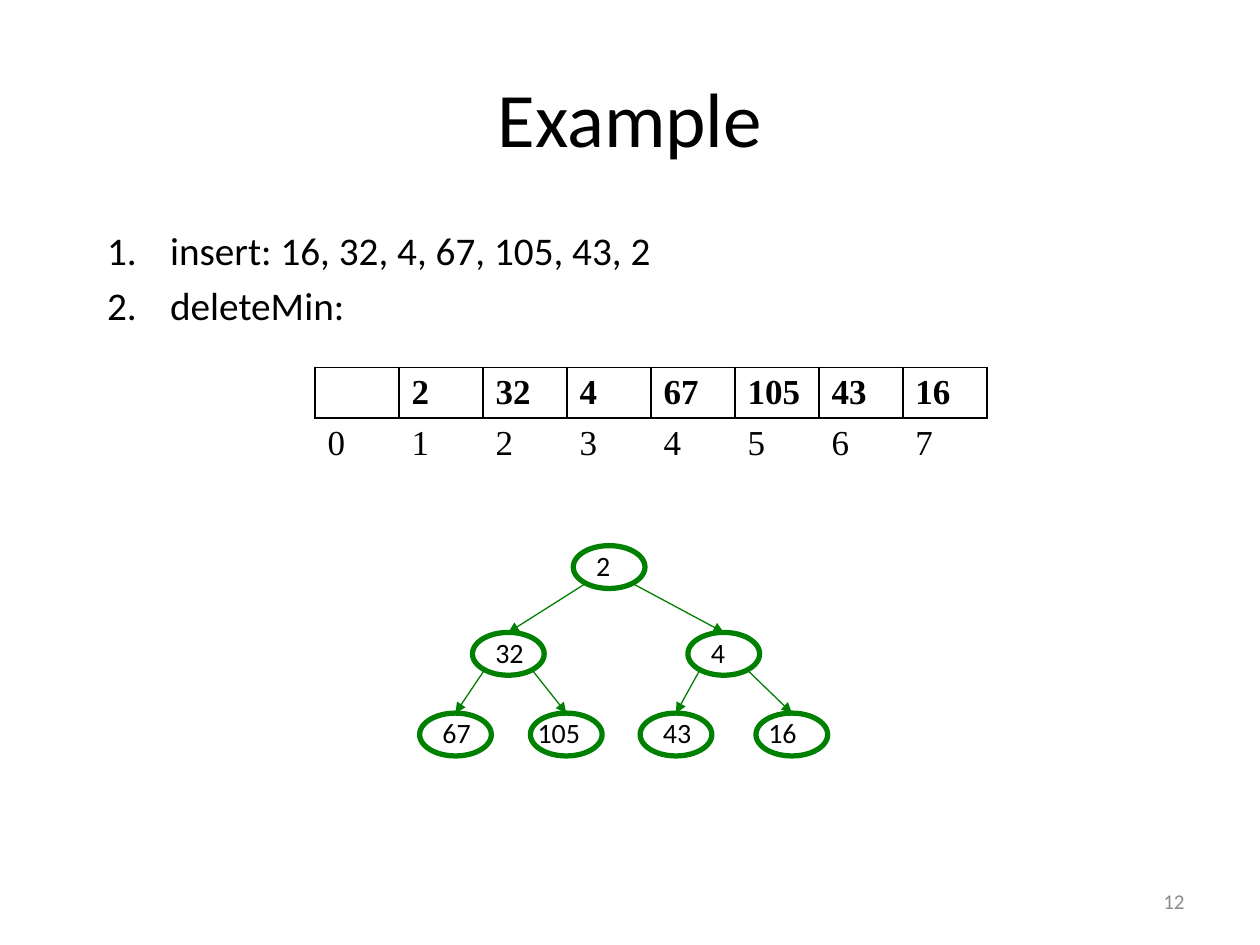
import dataclasses

import lxml.etree
import pptx
import pptx.dml.color
import pptx.enum.shapes
import pptx.enum.text
import pptx.oxml.ns
import pptx.util

Pt = pptx.util.Pt
qn = pptx.oxml.ns.qn
Color = pptx.dml.color.RGBColor
Align = pptx.enum.text.PP_ALIGN
Anchor = pptx.enum.text.MSO_ANCHOR


@dataclasses.dataclass
class Theme:
    ink: str = "000000"
    green: str = "008000"
    gray: str = "8C8C8C"
    font: str = "Calibri"
    table_font: str = "Times New Roman"
    title_size: float = 44
    list_size: float = 22.4
    table_size: float = 20
    node_size: float = 16
    number_size: float = 12
    node_line: float = 3
    arrow_line: float = 0.75
    border: float = 1


theme = Theme()


def write(paragraph, text, *, size, font=theme.font, color=theme.ink, bold=False, align=Align.LEFT):
    paragraph.alignment = align
    run = paragraph.add_run()
    run.text = text
    run.font.size = Pt(size)
    run.font.name = font
    run.font.bold = bold
    run.font.color.rgb = Color.from_string(color)


presentation = pptx.Presentation()
presentation.slide_width = Pt(720)
presentation.slide_height = Pt(540)
slide = presentation.slides.add_slide(presentation.slide_layouts[1])
shapes = slide.shapes

title = shapes.title
title.left, title.top, title.width, title.height = Pt(36), Pt(21.6), Pt(648), Pt(90)
title.text_frame.vertical_anchor = Anchor.MIDDLE
write(title.text_frame.paragraphs[0], "Example", size=theme.title_size, align=Align.CENTER)

steps = slide.placeholders[1]
steps.left, steps.top, steps.width, steps.height = Pt(54), Pt(126), Pt(612), Pt(60)
steps.text_frame.auto_size = pptx.enum.text.MSO_AUTO_SIZE.NONE
for index, text in enumerate(["insert: 16, 32, 4, 67, 105, 43, 2", "deleteMin:"]):
    paragraph = steps.text_frame.paragraphs[0] if index == 0 else steps.text_frame.add_paragraph()
    write(paragraph, text, size=theme.list_size)
    properties = paragraph._p.get_or_add_pPr()
    properties.set("marL", str(Pt(36)))
    properties.set("indent", str(-Pt(36)))
    lxml.etree.SubElement(properties, qn("a:buFont"), typeface="+mj-lt")
    lxml.etree.SubElement(properties, qn("a:buAutoNum"), type="arabicPeriod")

heap = ["", "2", "32", "4", "67", "105", "43", "16"]
rows = [heap, [str(index) for index in range(len(heap))]]
table = shapes.add_table(2, len(heap), Pt(180), Pt(210), Pt(384), Pt(58)).table
table.first_row = False
table.horz_banding = False
for row_index, values in enumerate(rows):
    table.rows[row_index].height = Pt(29)
    for column_index, value in enumerate(values):
        cell = table.cell(row_index, column_index)
        cell.margin_top = cell.margin_bottom = Pt(3)
        cell.vertical_anchor = Anchor.MIDDLE
        write(cell.text_frame.paragraphs[0], value, size=theme.table_size,
              font=theme.table_font, bold=row_index == 0)
        cell_properties = cell._tc.get_or_add_tcPr()
        for side in ("L", "R", "T", "B"):
            border = lxml.etree.SubElement(cell_properties, qn(f"a:ln{side}"), w=str(Pt(theme.border)))
            if row_index == 0 or side == "T":
                fill = lxml.etree.SubElement(border, qn("a:solidFill"))
                lxml.etree.SubElement(fill, qn("a:srgbClr"), val=theme.ink)
            else:
                lxml.etree.SubElement(border, qn("a:noFill"))
        cell.fill.background()

node_width, node_height = 41, 24.5
nodes = [
    ("2", 327.6, 311.8, 6),
    ("32", 270, 361.4, 6),
    ("4", 393.1, 361.4, 6),
    ("67", 239.8, 407.5, 6),
    ("105", 303.1, 407.5, -3),
    ("43", 365.8, 407.5, 6),
    ("16", 432, 407.5, 0),
]

for value, left, top, label_offset in nodes:
    node = shapes.add_shape(pptx.enum.shapes.MSO_SHAPE.OVAL,
                            Pt(left), Pt(top), Pt(node_width), Pt(node_height))
    node.shadow.inherit = False
    node.fill.background()
    node.line.color.rgb = Color.from_string(theme.green)
    node.line.width = Pt(theme.node_line)

for child in range(1, len(nodes)):
    _, parent_left, parent_top, _ = nodes[(child - 1) // 2]
    _, child_left, child_top, _ = nodes[child]
    start_offset = 6.5 if child % 2 else node_width - 6.5
    arrow = shapes.add_connector(pptx.enum.shapes.MSO_CONNECTOR.STRAIGHT,
                                 Pt(parent_left + start_offset), Pt(parent_top + 22),
                                 Pt(child_left + node_width / 2), Pt(child_top))
    arrow.line.color.rgb = Color.from_string(theme.green)
    arrow.line.width = Pt(theme.arrow_line)
    lxml.etree.SubElement(arrow.line._get_or_add_ln(), qn("a:tailEnd"), type="triangle")
    lxml.etree.SubElement(arrow._element.spPr, qn("a:effectLst"))

for value, left, top, label_offset in nodes:
    label = shapes.add_textbox(Pt(left + label_offset), Pt(top - 2), Pt(42), Pt(26.6))
    label.text_frame.word_wrap = True
    write(label.text_frame.paragraphs[0], value, size=theme.node_size)

number = shapes.add_textbox(Pt(516), Pt(500.4), Pt(168), Pt(28.8))
number.text_frame.word_wrap = True
number.text_frame.vertical_anchor = Anchor.MIDDLE
write(number.text_frame.paragraphs[0], "12", size=theme.number_size, color=theme.gray, align=Align.RIGHT)

presentation.save("out.pptx")
